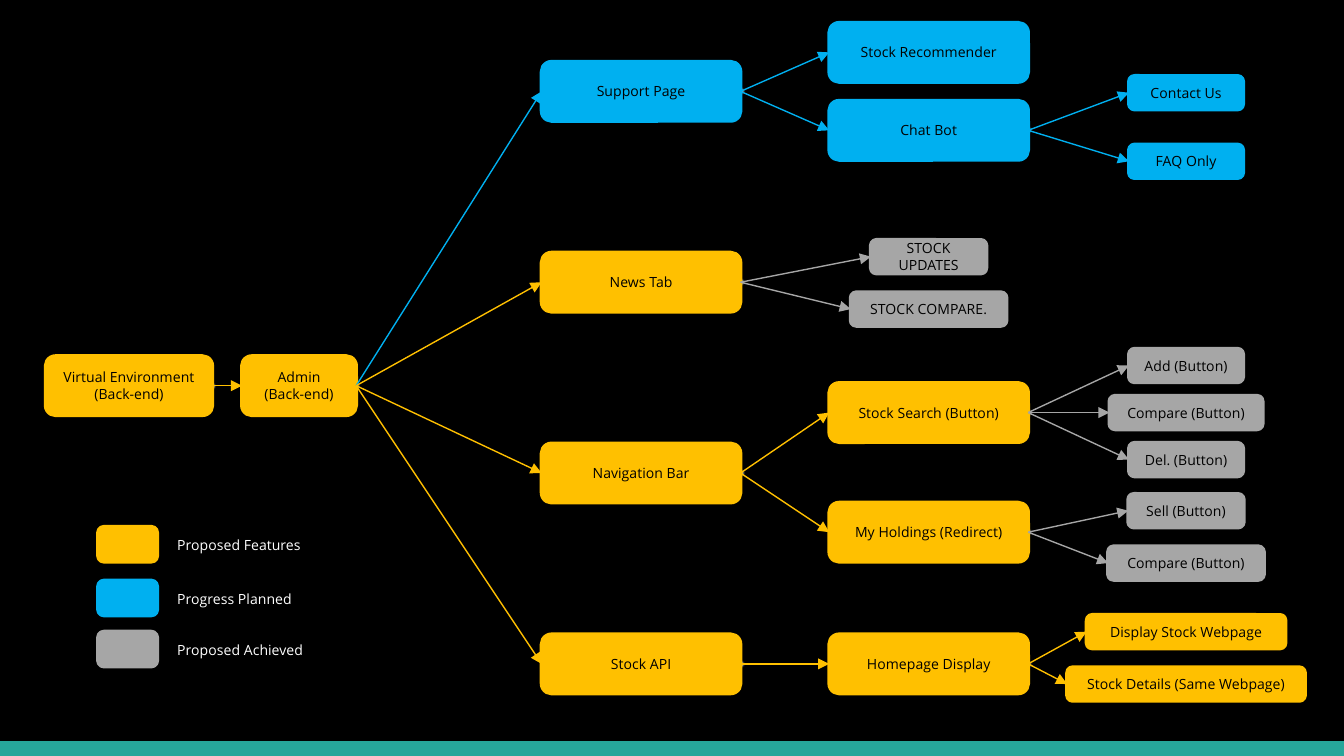
from lxml import etree
from pptx import Presentation
from pptx.dml.color import RGBColor
from pptx.enum.shapes import MSO_CONNECTOR, MSO_SHAPE
from pptx.enum.text import MSO_ANCHOR, PP_ALIGN
from pptx.oxml.ns import qn
from pptx.util import Inches, Pt

ROUNDED, OVAL, BAR = MSO_SHAPE.ROUNDED_RECTANGLE, MSO_SHAPE.OVAL, MSO_SHAPE.RECTANGLE
STRAIGHT = MSO_CONNECTOR.STRAIGHT
MIDDLE, CENTER = MSO_ANCHOR.MIDDLE, PP_ALIGN.CENTER
LEFT_SITE, RIGHT_SITE = 1, 3

YELLOW, BLUE, GRAY = "FFC000", "00B0F0", "A6A6A6"
BLACK, WHITE, TEAL = "000000", "FFFFFF", "26A69A"

# Centres of the columns, and the rows of the four main branches
BACKEND, ADMIN, BRANCH, FEATURE, LEAF = 0.96, 2.225, 4.77, 6.91, 8.825
SUPPORT, NEWS, NAVIGATION, API = (0.68 + 1.42 * row for row in range(4))
BACKEND_ROW = 2.87
WIDE, NARROW = 1.48, 0.85
TALL, SHORT = 0.44, 0.25
DOT = 0.04

# label, parent label, column, row, width, height, colour
NODES = [
    ("Virtual Environment\n(Back-end)", None, BACKEND, BACKEND_ROW, 1.24, TALL, YELLOW),
    ("Admin\n(Back-end)", "Virtual Environment\n(Back-end)", ADMIN, BACKEND_ROW, NARROW, TALL, YELLOW),
    ("Support Page", "Admin\n(Back-end)", BRANCH, SUPPORT, WIDE, TALL, BLUE),
    ("News Tab", "Admin\n(Back-end)", BRANCH, NEWS, WIDE, TALL, YELLOW),
    ("Navigation Bar", "Admin\n(Back-end)", BRANCH, NAVIGATION, WIDE, TALL, YELLOW),
    ("Stock API", "Admin\n(Back-end)", BRANCH, API, WIDE, TALL, YELLOW),
    ("Stock Recommender", "Support Page", FEATURE, 0.39, WIDE, TALL, BLUE),
    ("Chat Bot", "Support Page", FEATURE, 0.97, WIDE, TALL, BLUE),
    ("STOCK\nUPDATES", "News Tab", FEATURE, 1.91, 0.86, SHORT, GRAY),
    ("STOCK COMPARE.", "News Tab", FEATURE, 2.3, 1.16, SHORT, GRAY),
    ("Stock Search (Button)", "Navigation Bar", FEATURE, 3.07, WIDE, TALL, YELLOW),
    ("My Holdings (Redirect)", "Navigation Bar", FEATURE, 3.96, WIDE, TALL, YELLOW),
    ("Homepage Display", "Stock API", FEATURE, API, WIDE, TALL, YELLOW),
    ("Contact Us", "Chat Bot", LEAF, 0.69, NARROW, SHORT, BLUE),
    ("FAQ Only", "Chat Bot", LEAF, 1.2, NARROW, SHORT, BLUE),
    ("Add (Button)", "Stock Search (Button)", LEAF, 2.72, NARROW, SHORT, GRAY),
    ("Compare (Button)", "Stock Search (Button)", LEAF, 3.07, 1.14, SHORT, GRAY),
    ("Del. (Button)", "Stock Search (Button)", LEAF, 3.42, NARROW, SHORT, GRAY),
    ("Sell (Button)", "My Holdings (Redirect)", LEAF, 3.8, 0.86, SHORT, GRAY),
    ("Compare (Button)", "My Holdings (Redirect)", LEAF, 4.19, 1.16, SHORT, GRAY),
    ("Display Stock Webpage", "Homepage Display", LEAF, 4.7, WIDE, SHORT, YELLOW),
    ("Stock Details (Same Webpage)", "Homepage Display", LEAF, 5.09, 1.77, SHORT, YELLOW),
]
LEGEND = [
    ("Proposed Features", 4.05, YELLOW),
    ("Progress Planned", 4.45, BLUE),
    ("Proposed Achieved", 4.83, GRAY),
]

presentation = Presentation()
presentation.slide_width, presentation.slide_height = Inches(10), Inches(5.625)
slide = presentation.slides.add_slide(presentation.slide_layouts[6])
slide.background.fill.solid()
slide.background.fill.fore_color.rgb = RGBColor.from_string(BLACK)


def add_centred_shape(preset, column, row, width, height, color):
    """Place a flat shape by its centre, with fill and outline in one colour."""
    shape = slide.shapes.add_shape(preset, Inches(column - width / 2), Inches(row - height / 2),
                                   Inches(width), Inches(height))
    shape.shadow.inherit = False
    shape.fill.solid()
    shape.fill.fore_color.rgb = shape.line.color.rgb = RGBColor.from_string(color)
    shape.line.width = Pt(2)
    return shape


def write_label(shape, label, color, alignment=None):
    frame = shape.text_frame
    frame.text = label
    frame.vertical_anchor = MIDDLE
    for paragraph in frame.paragraphs:
        paragraph.alignment = alignment
        paragraph.font.name = "Open Sans"
        paragraph.font.size = Pt(7.5)
        paragraph.font.color.rgb = RGBColor.from_string(color)


footer = add_centred_shape(BAR, 5, 5.57, 10, 0.11, TEAL)
footer.line.fill.background()

# Soft dots where the arrows leave a parent, behind the boxes
parents = {parent for _, parent, *_ in NODES}
for label, _, column, row, width, _, _ in NODES:
    if label in parents:
        dot = add_centred_shape(OVAL, column + width / 2, row, DOT, DOT, WHITE)
        effects = dot.element.spPr.find(qn("a:effectLst"))
        etree.SubElement(effects, qn("a:softEdge"), rad=str(Pt(1)))

boxes = {}
arrows = []
for label, parent, column, row, width, height, color in NODES:
    box = add_centred_shape(ROUNDED, column, row, width, height, color)
    frame = box.text_frame
    frame.margin_left = frame.margin_right = frame.margin_top = frame.margin_bottom = 0
    write_label(box, label, BLACK, CENTER)
    boxes[label] = box
    if parent:
        arrows.append((boxes[parent], box, color))

for parent_box, child_box, color in arrows:
    arrow = slide.shapes.add_connector(STRAIGHT, 0, 0, 0, 0)
    arrow.begin_connect(parent_box, RIGHT_SITE)
    arrow.end_connect(child_box, LEFT_SITE)
    arrow.line.color.rgb = RGBColor.from_string(color)
    arrow.line.width = Pt(0.75)
    etree.SubElement(arrow.line._get_or_add_ln(), qn("a:tailEnd"), type="triangle")
    etree.SubElement(arrow.element.spPr, qn("a:effectLst"))

for label, row, color in LEGEND:
    add_centred_shape(ROUNDED, 0.95, row, 0.44, 0.26, color)
    caption = slide.shapes.add_textbox(Inches(1.22), Inches(row - 0.11), Inches(1.15), Inches(0.23))
    caption.text_frame.word_wrap = False
    write_label(caption, label, WHITE)

presentation.save("out.pptx")
